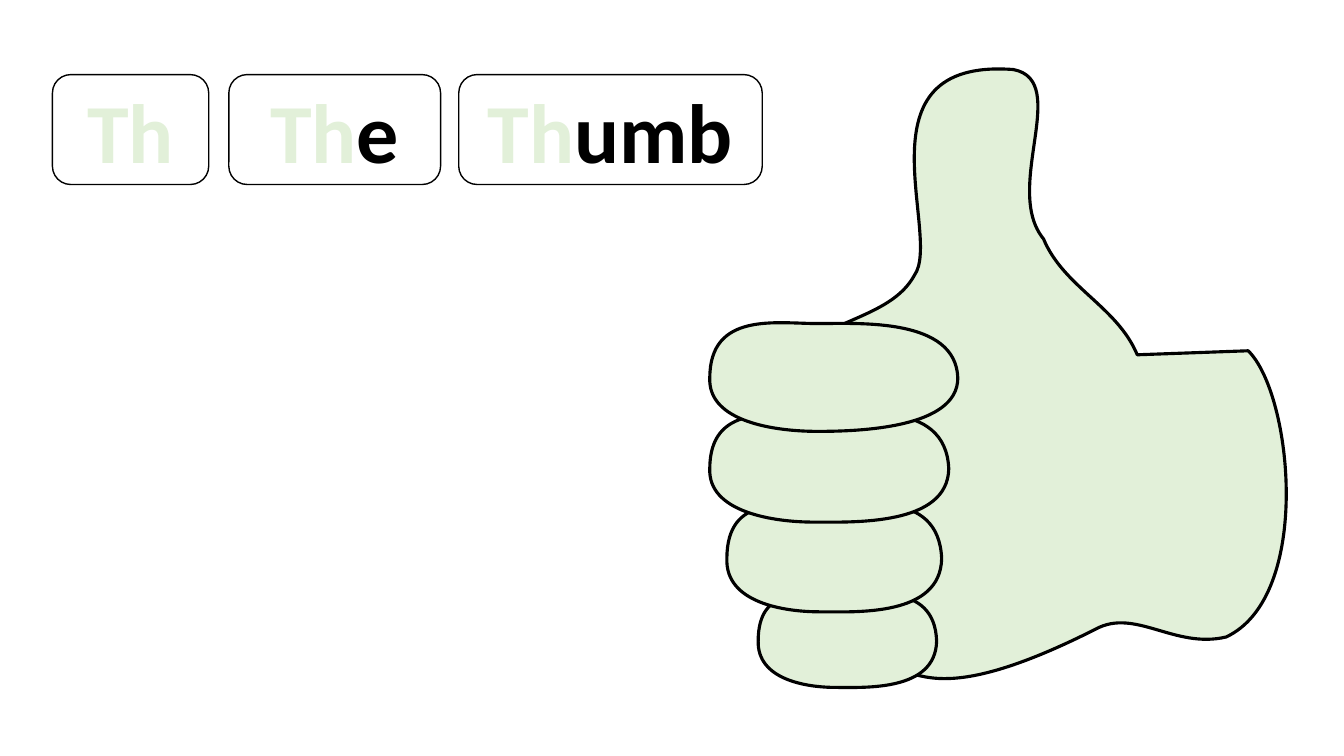
"""Builds the 'Th' phonics slide: three word cards and a thumbs-up hand."""
from dataclasses import dataclass

from lxml import etree
from pptx import Presentation
from pptx import util as u
from pptx.dml.color import RGBColor
from pptx.enum import shapes, text
from pptx.oxml.ns import qn

GREEN, BLACK, WHITE = "E2F0D9", "000000", "FFFFFF"
CARD_TOP, CARD_HEIGHT = 0.74, 1.09

Point = tuple[float, float]
Curve = tuple[Point, Point, Point]


@dataclass
class Card:
    """A word card whose text is 'Th' followed by an ending."""
    left: float
    width: float
    ending: str


@dataclass
class Outline:
    """A closed outline of cubic curves within a box of two corners."""
    top_left: Point
    bottom_right: Point
    start: Point
    curves: list[Curve]


CARDS = [Card(0.52, 1.55, ""), Card(2.27, 2.1, "e"), Card(4.55, 3.01, "umb")]

PALM = Outline((7.38, 0.68), (12.76, 6.73), (11.28, 3.52), [
    ((11.08, 3.04), (10.55, 2.85), (10.35, 2.37)),
    ((9.94, 1.87), (10.63, 0.8), (10.05, 0.69)),
    ((8.46, 0.57), (9.35, 2.34), (9.07, 2.73)),
    ((8.71, 3.39), (7.38, 3.04), (7.38, 4.77)),
    ((7.34, 5.42), (8.36, 6.4), (8.86, 6.67)),
    ((9.11, 6.6), (9.27, 7.05), (10.87, 6.24)),
    ((11.26, 6.03), (11.65, 6.44), (12.16, 6.32)),
    ((13.02, 5.92), (12.82, 3.91), (12.38, 3.48)),
])
LITTLE = Outline((7.52, 5.89), (9.29, 6.82), (9.29, 6.36), [
    ((9.27, 5.75), (8.58, 5.91), (8.29, 5.91)),
    ((7.99, 5.91), (7.52, 5.8), (7.52, 6.36)),
    ((7.51, 6.74), (7.99, 6.82), (8.29, 6.82)),
    ((8.58, 6.82), (9.28, 6.86), (9.29, 6.36)),
])
RING = Outline((7.21, 5), (9.34, 6.08), (9.34, 5.54), [
    ((9.31, 4.83), (8.49, 5.02), (8.13, 5.02)),
    ((7.78, 5.02), (7.21, 4.9), (7.21, 5.54)),
    ((7.19, 5.98), (7.78, 6.07), (8.13, 6.07)),
    ((8.49, 6.07), (9.33, 6.12), (9.34, 5.54)),
])
MIDDLE = Outline((7.04, 4.1), (9.41, 5.18), (9.41, 4.65), [
    ((9.38, 3.94), (8.46, 4.12), (8.07, 4.12)),
    ((7.67, 4.12), (7.04, 4), (7.04, 4.65)),
    ((7.02, 5.08), (7.67, 5.18), (8.07, 5.18)),
    ((8.46, 5.18), (9.4, 5.22), (9.41, 4.65)),
])
INDEX = Outline((7.04, 3.21), (9.5, 4.29), (9.5, 3.75), [
    ((9.48, 3.15), (8.52, 3.21), (8.11, 3.21)),
    ((7.7, 3.21), (7.04, 3.09), (7.04, 3.75)),
    ((7.02, 4.19), (7.7, 4.28), (8.11, 4.28)),
    ((8.52, 4.28), (9.5, 4.25), (9.5, 3.75)),
])
HAND = [PALM, LITTLE, RING, MIDDLE, INDEX]


def rgb(value: str) -> RGBColor:
    return RGBColor.from_string(value)


def paint(sp, fill: str, line_width: float) -> None:
    sp.shadow.inherit = False
    sp.fill.solid()
    sp.fill.fore_color.rgb = rgb(fill)
    sp.line.color.rgb = rgb(BLACK)
    sp.line.width = u.Pt(line_width)


def add_command(route, tag: str, points: tuple[Point, ...], origin: Point) -> None:
    command = etree.SubElement(route, qn(tag))
    for x, y in points:
        etree.SubElement(command, qn("a:pt"), x=str(u.Inches(x - origin[0])),
                         y=str(u.Inches(y - origin[1])))


def draw_outline(group, outline: Outline) -> None:
    left, top = (u.Inches(v) for v in outline.top_left)
    right, bottom = (u.Inches(v) for v in outline.bottom_right)
    builder = group.shapes.build_freeform(left, top)
    builder.add_line_segments([(right, bottom)], close=True)
    sp = builder.convert_to_shape()
    paint(sp, GREEN, 2.25)
    route = sp._element.find(".//" + qn("a:path"))
    for command in list(route):
        route.remove(command)
    add_command(route, "a:moveTo", (outline.start,), outline.top_left)
    for curve in outline.curves:
        add_command(route, "a:cubicBezTo", curve, outline.top_left)
    if outline.curves[-1][-1] != outline.start:
        add_command(route, "a:lnTo", (outline.start,), outline.top_left)
    etree.SubElement(route, qn("a:close"))


def add_run(p, wording: str, color: str) -> None:
    r = p.add_run()
    r.text = wording
    r.font.name = "Calibri"
    r.font.size = u.Pt(60)
    r.font.bold = True
    r.font.color.rgb = rgb(color)
    ln = etree.Element(qn("a:ln"), w=str(u.Pt(0.75)))
    fill = etree.SubElement(ln, qn("a:solidFill"))
    etree.SubElement(fill, qn("a:srgbClr"), val=BLACK)
    r.font._element.insert(0, ln)


def draw_card(s, card: Card) -> None:
    sp = s.shapes.add_shape(
        shapes.MSO_SHAPE.ROUNDED_RECTANGLE, u.Inches(card.left),
        u.Inches(CARD_TOP), u.Inches(card.width), u.Inches(CARD_HEIGHT))
    paint(sp, WHITE, 1)
    tf = sp.text_frame
    tf.word_wrap = True
    tf.vertical_anchor = text.MSO_ANCHOR.MIDDLE
    p = tf.paragraphs[0]
    p.alignment = text.PP_ALIGN.CENTER
    add_run(p, "Th", GREEN)
    if card.ending:
        add_run(p, card.ending, BLACK)


def main() -> None:
    prs = Presentation()
    prs.slide_width, prs.slide_height = u.Inches(13.33), u.Inches(7.5)
    s = prs.slides.add_slide(prs.slide_layouts.get_by_name("Blank"))
    hand = s.shapes.add_group_shape()
    for outline in HAND:
        draw_outline(hand, outline)
    for card in CARDS:
        draw_card(s, card)
    prs.save("out.pptx")


if __name__ == "__main__":
    main()
